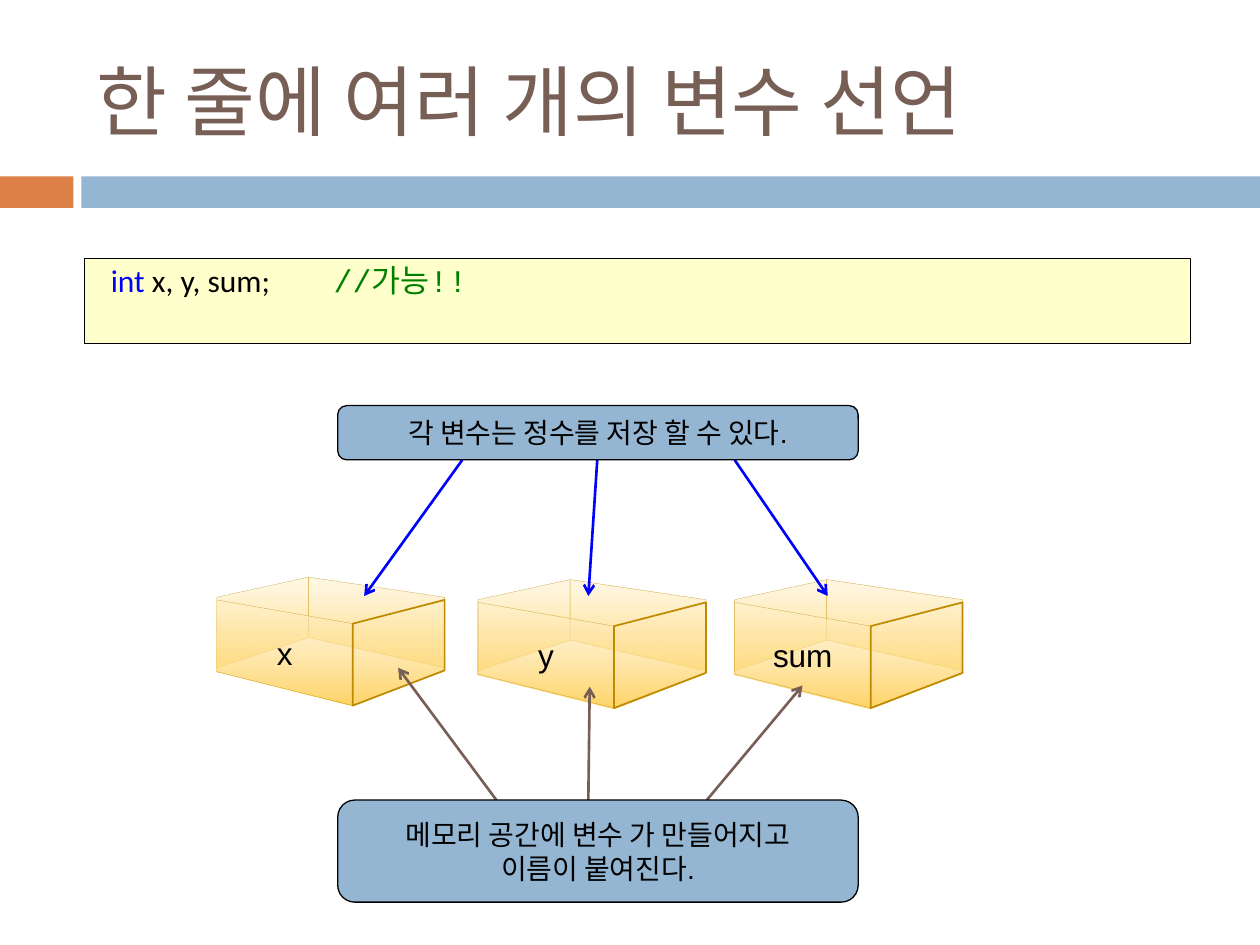
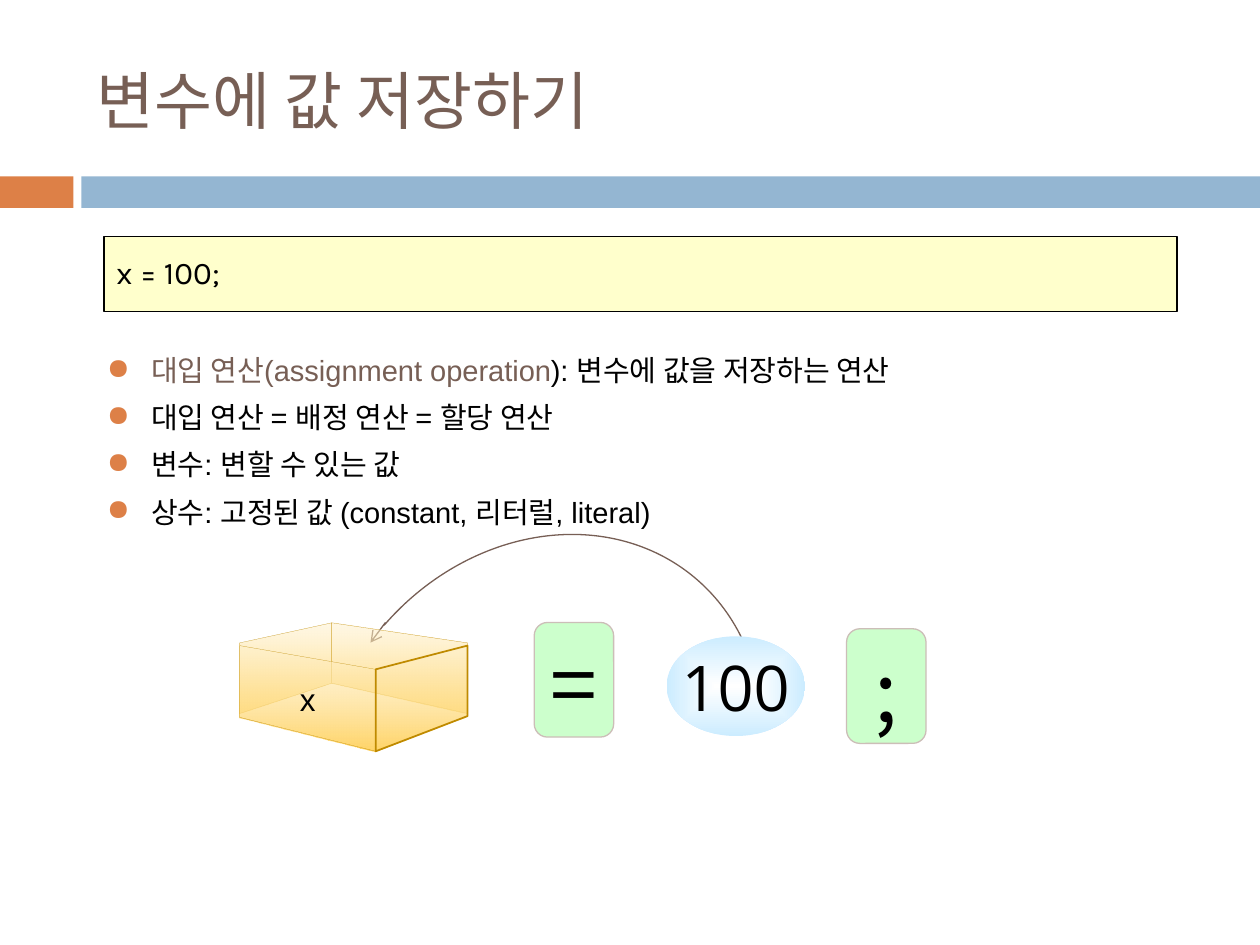
from lxml import etree
from pptx import Presentation
from pptx import util as u
from pptx.dml.color import RGBColor
from pptx.enum import shapes, text
from pptx.oxml.ns import qn

Pt = u.Pt
HUE = {
    "orange": "DD8047", "blue": "94B6D2", "brown": "775F55", "cream": "FFFFCC",
    "black": "000000", "key": "0000FF", "note": "008000", "pale": "FFF1CC",
    "gold": "FFD466", "edge": "BF8A00", "mint": "CCFFCC", "rim": "CCBEB8",
    "white": "FFFFFF", "sky": "CCECFF",
}
RGB = {name: RGBColor.from_string(code) for name, code in HUE.items()}
KIND = shapes.MSO_SHAPE
MID, TOP = text.MSO_ANCHOR.MIDDLE, text.MSO_ANCHOR.TOP
LEFT, CENTER = text.PP_ALIGN.LEFT, text.PP_ALIGN.CENTER


def dress(shape, fill=None, line=None, width=0.75, paras=(), frame=None, para=None, hang=None):
    """Fill, outline and text; each run is (text, size, font, colour)."""
    if isinstance(fill, tuple):
        shape.fill.gradient()
        shape.fill.gradient_angle = 270
        for stop, hue in zip(shape.fill.gradient_stops, fill):
            stop.color.rgb = RGB[hue]
    elif fill:
        shape.fill.solid()
        shape.fill.fore_color.rgb = RGB[fill]
    else:
        shape.fill.background()
    if line:
        shape.line.color.rgb = RGB[line]
        shape.line.width = Pt(width)
    else:
        shape.line.fill.background()
    shape.shadow.inherit = False
    body = shape.text_frame
    for key, val in {"word_wrap": True, "vertical_anchor": MID, **(frame or {})}.items():
        setattr(body, key, val)
    for i, runs in enumerate(paras):
        p = body.add_paragraph() if i else body.paragraphs[0]
        for key, val in {"alignment": CENTER, **(para or {})}.items():
            setattr(p, key, val)
        if hang:
            props = p._p.get_or_add_pPr()
            props.set("marL", str(Pt(hang[0])))
            props.set("indent", str(Pt(hang[1])))
        for words, size, font, hue in runs:
            run = p.add_run()
            run.text = words
            for key, val in {"size": Pt(size), "name": font}.items():
                setattr(run.font, key, val)
            run.font.color.rgb = RGB[hue]
    return shape


def link(page, start, end, hue, width):
    """Straight arrow with an open head at its end."""
    wire = page.shapes.add_connector(shapes.MSO_CONNECTOR.STRAIGHT, *map(Pt, start + end))
    wire.line.color.rgb = RGB[hue]
    wire.line.width = Pt(width)
    etree.SubElement(wire.line._get_or_add_ln(), qn("a:tailEnd"), type="arrow")
    etree.SubElement(wire._element.spPr, qn("a:effectLst"))


deck = Presentation()
deck.slide_width, deck.slide_height = Pt(720), Pt(540)

# Shared bands and titles
pages = []
for title, size, font in [("한 줄에 여러 개의 변수 선언", 44, "Calibri"),
                          ("변수에 값 저장하기", 36, "Noto Sans CJK KR")]:
    page = deck.slides.add_slide(deck.slide_layouts[6])
    for x, w, hue in [(0, 42, "orange"), (46.5, 673.5, "blue")]:
        dress(page.shapes.add_shape(KIND.RECTANGLE, Pt(x), Pt(100.8), Pt(w), Pt(18)), hue)
    dress(page.shapes.add_textbox(Pt(48), Pt(18), Pt(642), Pt(78)),
          paras=[[(title, size, font, "brown")]], para={"alignment": LEFT})
    pages.append(page)
one, two = pages

# Code boxes
for page, at, anchor, hang, runs in [
    (one, (48.2, 147.8, 632.2, 48.5), TOP, (27.4, -19.4),
     [("int ", 18, "Calibri", "key"), ("x, y, sum; \t", 18, "Calibri", "black"),
      ("//가능!!", 18, "Courier New", "note")]),
    (two, (59.5, 135.2, 613.2, 43), MID, (27.4, -27.4),
     [("x = 100;", 18, "Karla", "black")]),
]:
    dress(page.shapes.add_shape(KIND.RECTANGLE, *map(Pt, at)), "cream", "black",
          paras=[runs], frame={"vertical_anchor": anchor}, hang=hang,
          para={"alignment": LEFT, "line_spacing": 0.9, "space_before": Pt(3.6)})

# Bullets on assignment
rows = [[("대입 연산(assignment operation", "brown"), ("): 변수에 값을 저장하는 연산", "black")],
        [("대입 연산 = 배정 연산 = 할당 연산", "black")],
        [("변수: 변할 수 있는 값", "black")],
        [("상수: 고정된 값 (constant, 리터럴, literal)", "black")]]
notes = dress(two.shapes.add_textbox(Pt(54), Pt(198), Pt(646.6), Pt(100)),
              paras=[[(words, 16.6, "Arial", hue) for words, hue in row] for row in rows],
              frame={"vertical_anchor": TOP}, hang=(25.2, -25.2),
              para={"alignment": LEFT, "space_before": Pt(7)})
for p in notes.text_frame.paragraphs:
    props = p._p.get_or_add_pPr()
    tint = etree.SubElement(props, qn("a:buClr"))
    etree.SubElement(tint, qn("a:srgbClr"), val=HUE["orange"])
    etree.SubElement(props, qn("a:buChar"), char="●")

# Arc from the value to the variable
arc = dress(two.shapes.add_shape(KIND.ARC, Pt(171.4), Pt(316.8), Pt(275), Pt(237.6)),
            line="brown")
arc.rotation = 309.6
arc.adjustments[0], arc.adjustments[1] = 162.97, 11.43
link(two, (220.3, 355.7), (211.7, 367.2), "brown", 0.75)

# Open boxes for variables: back, left, front and right faces
FACES = [
    ([(52.7, 0), (52.7, 34.5), (130.3, 51.8), (130.3, 11.5)], 0.1),
    ([(0, 51.8), (52.7, 34.5), (52.7, 0), (0, 11.5)], 0.1),
    ([(0, 13), (0, 54), (77.8, 73.4), (77.8, 26.6)], 0.1),
    ([(77.8, 73.4), (130.3, 53.3), (130.3, 13), (77.8, 26.6)], 1),
]
for page, name, x, y in [(one, "x", 123.8, 329.8), (one, "y", 273.1, 331.2),
                         (one, "sum", 419.8, 331.2), (two, "x", 136.9, 355.9)]:
    for i, (dots, width) in enumerate(FACES):
        dots = [(Pt(x + dx), Pt(y + dy)) for dx, dy in dots]
        pen = page.shapes.build_freeform(*dots[0])
        pen.add_line_segments(dots[1:], close=True)
        face = dress(pen.convert_to_shape(), ("pale", "gold"), "edge", width,
                     [[(name, 18, "Arial", "black")]] if i == 2 else ())
        tint = face._element.spPr.find(".//" + qn("a:srgbClr"))
        etree.SubElement(tint, qn("a:alpha"), val="50000")

# Arrows from the remarks to the variables
for start, end, hue in [
    ((264.2, 262.8), (208.1, 340.6), "key"),
    ((341.3, 262.8), (336.2, 340.6), "key"),
    ((419.8, 262.8), (473, 340.6), "key"),
    ((403.9, 457.2), (458.6, 391.7), "brown"),
    ((336.2, 457.2), (337, 392.4), "brown"),
    ((283.7, 457.2), (227.5, 381.6), "brown"),
]:
    link(one, start, end, hue, 1.5)

# Remarks
for y, h, lines in [(231.8, 31, ["각 변수는 정수를 저장 할 수 있다."]),
                    (457.2, 58.3, ["메모리 공간에 변수 가 만들어지고", "이름이 붙여진다."])]:
    dress(one.shapes.add_shape(KIND.ROUNDED_RECTANGLE, Pt(193), Pt(y), Pt(297.4), Pt(h)),
          "blue", "black", paras=[[(line, 16, "Arial", "black")] for line in lines])

# Statement parts: signs and value
for sign, x, y in [("=", 305.3, 355.7), (";", 483.8, 359.3)]:
    dress(two.shapes.add_shape(KIND.ROUNDED_RECTANGLE, Pt(x), Pt(y), Pt(45.4), Pt(65.5)),
          "mint", "rim", paras=[[(sign, 48, "Noto Sans CJK KR", "black")]],
          frame={"vertical_anchor": TOP})
value = dress(two.shapes.add_shape(KIND.OVAL, Pt(380.9), Pt(363.6), Pt(79.2), Pt(57)),
              ("white", "sky"), paras=[[("100", 36, "Open Sans", "black")]],
              frame={"word_wrap": False})
blend = value._element.spPr.find(qn("a:gradFill"))
blend.remove(blend.find(qn("a:lin")))
glow = etree.SubElement(blend, qn("a:path"), path="shape")
etree.SubElement(glow, qn("a:fillToRect"), {side: "50000" for side in "ltrb"})

deck.save("out.pptx")
